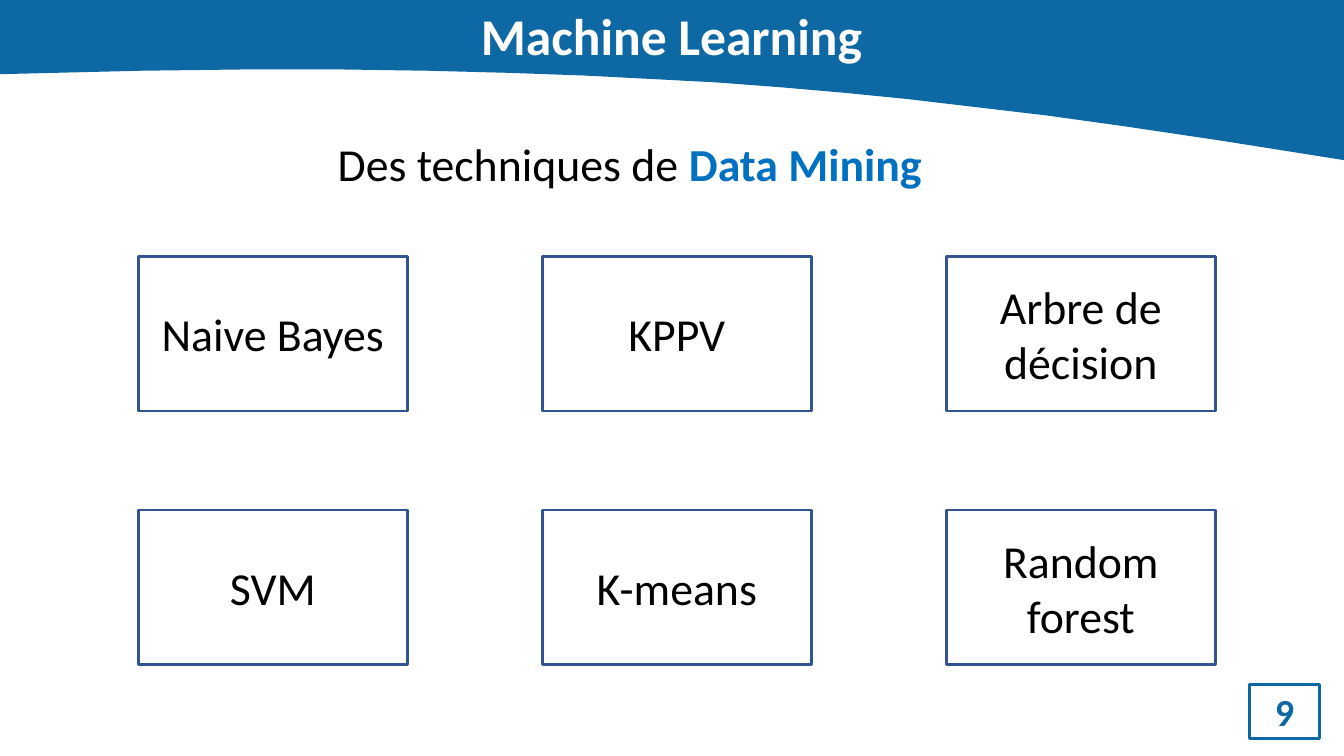
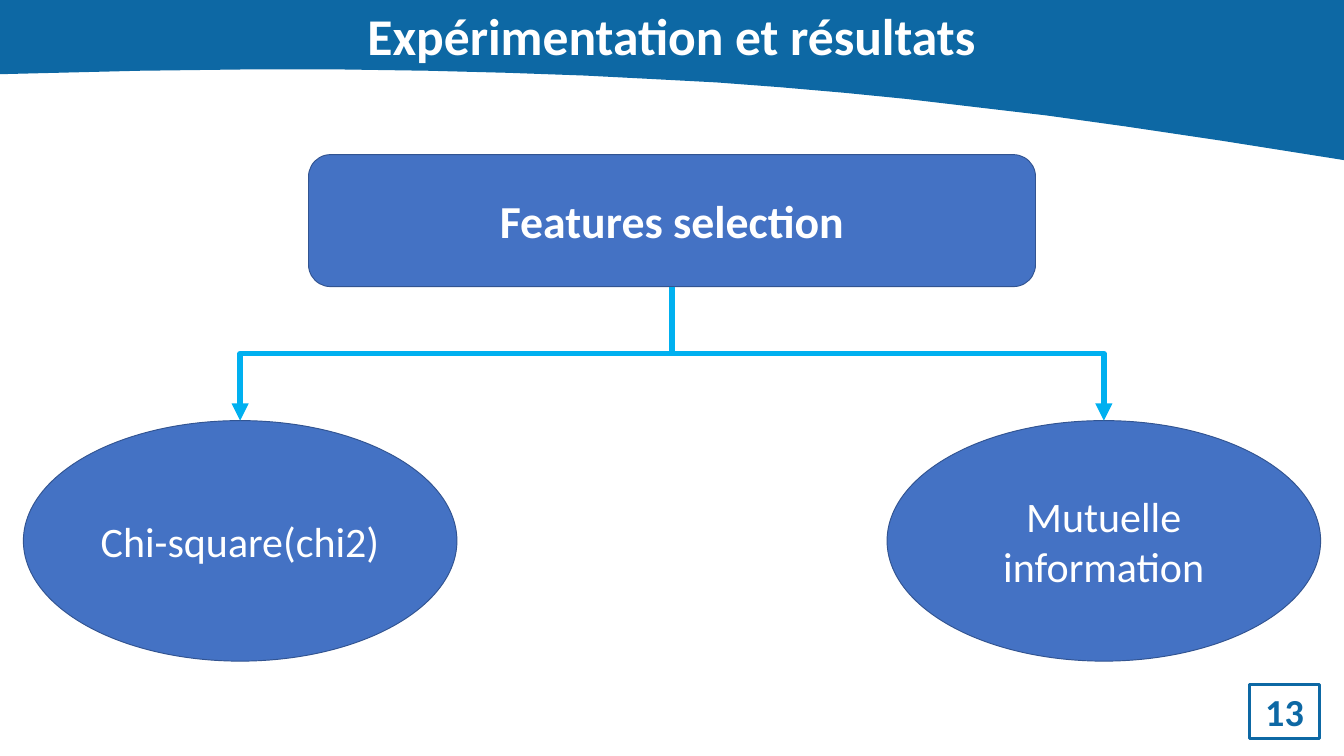
import pptx
import pptx.dml.color
import pptx.enum.shapes
import pptx.enum.text
import pptx.oxml
import pptx.oxml.ns
import pptx.util

PX = 9144  # EMU in one px, 100 px to the inch
WIDTH, HEIGHT = 1956, 1100
FONT = "Calibri"

RGB = pptx.dml.color.RGBColor
BAND_BLUE = RGB(0x0D, 0x68, 0xA4)
BORDER_BLUE = RGB(0x32, 0x54, 0x91)
NODE_BLUE = RGB(0x44, 0x72, 0xC4)
ARROW_BLUE = RGB(0x00, 0xB0, 0xF0)
ACCENT_BLUE = RGB(0x00, 0x70, 0xC0)
WHITE = RGB(0xFF, 0xFF, 0xFF)
BLACK = RGB(0, 0, 0)

SHAPE = pptx.enum.shapes.MSO_SHAPE
FIT = pptx.enum.text.MSO_AUTO_SIZE.SHAPE_TO_FIT_TEXT


def write(shape, text, size=48, color=BLACK, bold=False):
    """Append a centred span to the first paragraph of the shape."""
    frame = shape.text_frame
    frame.word_wrap = True
    frame.vertical_anchor = pptx.enum.text.MSO_ANCHOR.MIDDLE
    para = frame.paragraphs[0]
    para.alignment = pptx.enum.text.PP_ALIGN.CENTER
    span = para.add_run()
    span.text = text
    span.font.name = FONT
    span.font.size = pptx.util.Pt(size)
    span.font.bold = bold
    span.font.color.rgb = color


def add_box(page, kind, left, top, width, height, line=BORDER_BLUE, weight=3, fill=None):
    box = page.shapes.add_shape(kind, left * PX, top * PX, width * PX, height * PX)
    box.shadow.inherit = False
    box.line.color.rgb = line
    box.line.width = pptx.util.Pt(weight)
    if fill is None:
        box.fill.background()
    else:
        box.fill.solid()
        box.fill.fore_color.rgb = fill
    return box


deck = pptx.Presentation()
deck.slide_width, deck.slide_height = WIDTH * PX, HEIGHT * PX

# Shared layout: title place and curved band
layout = deck.slide_layouts[5]
layout_title, *layout_footers = layout.placeholders
for footer in layout_footers:
    footer.element.getparent().remove(footer.element)
layout_title.left, layout_title.top = 383 * PX, 0
layout_title.width, layout_title.height = 1189 * PX, 101 * PX

pages = []
for heading, number in (("Machine Learning", "9"), ("Expérimentation et résultats", "13")):
    page = deck.slides.add_slide(layout)
    write(page.shapes.title, heading, size=54, color=WHITE, bold=True)
    page.shapes.title.text_frame.auto_size = FIT
    number_box = add_box(page, SHAPE.RECTANGLE, 1818, 996, 103, 78, line=BAND_BLUE)
    write(number_box, number, size=40, color=BAND_BLUE, bold=True)
    pages.append(page)
techniques, selection = pages

curve = [(435, 101), (490, 101), (624, 103), (739, 106), (851, 110), (948, 115),
         (1043, 120), (1136, 127), (1228, 135), (1319, 144), (1421, 156),
         (1523, 168), (1638, 184), (1779, 205), (WIDTH, 233)]
outline = techniques.shapes.build_freeform(WIDTH, 101, scale=PX)
outline.add_line_segments(curve)
outline.move_to(WIDTH, 0)
outline.add_line_segments([(0, 0), (0, 108), (203, 103), (364, 101), (WIDTH, 101)])
band = outline.convert_to_shape()
band.shadow.inherit = False
band.fill.solid()
band.fill.fore_color.rgb = BAND_BLUE
band.line.fill.background()
layout_title.element.addprevious(band.element)  # moves the band to the layout

# Slide 1: grid of techniques
names = ["Naive Bayes", "KPPV", "Arbre de décision", "SVM", "K-means", "Random forest"]
for index, name in enumerate(names):
    row, column = divmod(index, 3)
    technique = add_box(techniques, SHAPE.RECTANGLE, 201 + 588 * column, 373 + 369 * row, 392, 225)
    write(technique, name)

subtitle = techniques.shapes.add_textbox(428 * PX, 192 * PX, 977 * PX, 91 * PX)
write(subtitle, "Des techniques de ")
write(subtitle, "Data Mining", color=ACCENT_BLUE, bold=True)
subtitle.text_frame.auto_size = FIT

# Slide 2: selection tree
root = add_box(selection, SHAPE.ROUNDED_RECTANGLE, 449, 225, 1058, 192, weight=1, fill=NODE_BLUE)
write(root, "Features selection", color=WHITE, bold=True)

for method, left, turn, flip in (("Chi-square(chi2)", 34, 90, "0"),
                                 ("Mutuelle information", 1291, 270, "1")):
    node = add_box(selection, SHAPE.OVAL, left, 612, 631, 350, weight=1, fill=NODE_BLUE)
    write(node, method, size=44, color=WHITE)

    arrow = selection.shapes.add_connector(pptx.enum.shapes.MSO_CONNECTOR.ELBOW, 0, 0, 0, 0)
    arrow.begin_connect(root, 2)
    arrow.end_connect(node, 0)
    # Turn the elbow about its centre so that it leaves the root downwards
    across, down = arrow.width, arrow.height
    arrow.left += (across - down) // 2
    arrow.top += (down - across) // 2
    arrow.width, arrow.height = down, across
    frame = arrow.element.spPr.find(pptx.oxml.ns.qn("a:xfrm"))
    frame.set("rot", str(turn * 60000))
    frame.set("flipH", flip)
    frame.set("flipV", "0")

    arrow.line.color.rgb = ARROW_BLUE
    arrow.line.width = pptx.util.Pt(6)
    namespace = pptx.oxml.ns.nsdecls("a")
    arrow.line._get_or_add_ln().append(
        pptx.oxml.parse_xml(f'<a:tailEnd {namespace} type="triangle"/>'))
    arrow.element.spPr.append(pptx.oxml.parse_xml(f"<a:effectLst {namespace}/>"))

deck.save("out.pptx")
